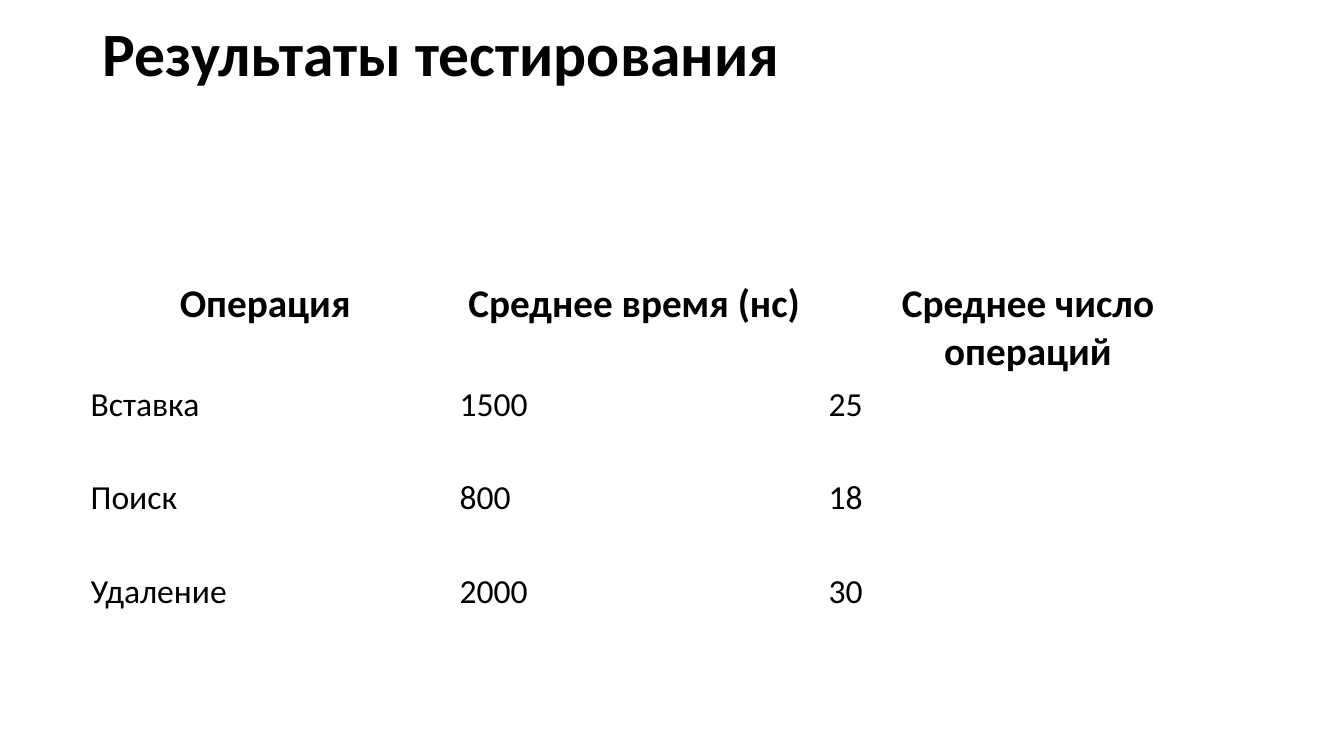
from lxml.etree import SubElement
from pptx import Presentation
from pptx.dml.color import RGBColor
from pptx.enum.text import MSO_ANCHOR, PP_ALIGN
from pptx.oxml.ns import qn
from pptx.util import Cm, Pt

BLACK = RGBColor(0x00, 0x00, 0x00)
WHITE = RGBColor(0xFF, 0xFF, 0xFF)
FONT = "Calibri"

RESULTS = [
    ("Операция", "Среднее время (нс)", "Среднее число операций"),
    ("Вставка", "1500", "25"),
    ("Поиск", "800", "18"),
    ("Удаление", "2000", "30"),
]
COLUMN_WIDTHS = [Cm(9.3), Cm(9.3), Cm(10.55)]
ROW_HEIGHT = Cm(2.36)


def add_run(paragraph, text, size, bold):
    run = paragraph.add_run()
    run.text = text
    run.font.name = FONT
    run.font.size = Pt(size)
    run.font.bold = bold
    run.font.color.rgb = BLACK


def add_title(slide, text):
    title = slide.shapes.add_textbox(Cm(2.33), Cm(0.05), Cm(29.21), Cm(2.77))
    frame = title.text_frame
    frame.word_wrap = True
    frame.vertical_anchor = MSO_ANCHOR.MIDDLE
    heading = frame.paragraphs[0]
    heading.line_spacing = 0.9
    add_run(heading, text, 44, True)


def set_borders(cell, bottom_width):
    """Draw white cell borders, 1 pt except for the bottom one.

    Must run before the cell is filled: borders precede the fill in the XML.
    """
    properties = cell._tc.get_or_add_tcPr()
    widths = {"a:lnL": 1, "a:lnR": 1, "a:lnT": 1, "a:lnB": bottom_width}
    for side, width in widths.items():
        border = SubElement(properties, qn(side), w=str(Pt(width)))
        fill = SubElement(border, qn("a:solidFill"))
        SubElement(fill, qn("a:srgbClr"), val=str(WHITE))


def fill_cell(cell, text, is_header):
    set_borders(cell, 3 if is_header else 1)
    cell.fill.solid()
    cell.fill.fore_color.rgb = WHITE
    paragraph = cell.text_frame.paragraphs[0]
    paragraph.alignment = PP_ALIGN.CENTER if is_header else PP_ALIGN.LEFT
    add_run(paragraph, text, 28 if is_header else 24, is_header)


def add_results_table(slide, results):
    table = slide.shapes.add_table(
        len(results), len(COLUMN_WIDTHS), Cm(2.03), Cm(6.93),
        sum(COLUMN_WIDTHS), ROW_HEIGHT * len(results),
    ).table
    for column, width in zip(table.columns, COLUMN_WIDTHS):
        column.width = width
    for row_index, values in enumerate(results):
        table.rows[row_index].height = ROW_HEIGHT
        for column_index, value in enumerate(values):
            fill_cell(table.cell(row_index, column_index), value, row_index == 0)


def main():
    presentation = Presentation()
    presentation.slide_width = Cm(33.87)
    presentation.slide_height = Cm(19.05)
    slide = presentation.slides.add_slide(presentation.slide_layouts[6])
    add_title(slide, "Результаты тестирования")
    add_results_table(slide, RESULTS)
    presentation.save("out.pptx")


if __name__ == "__main__":
    main()
